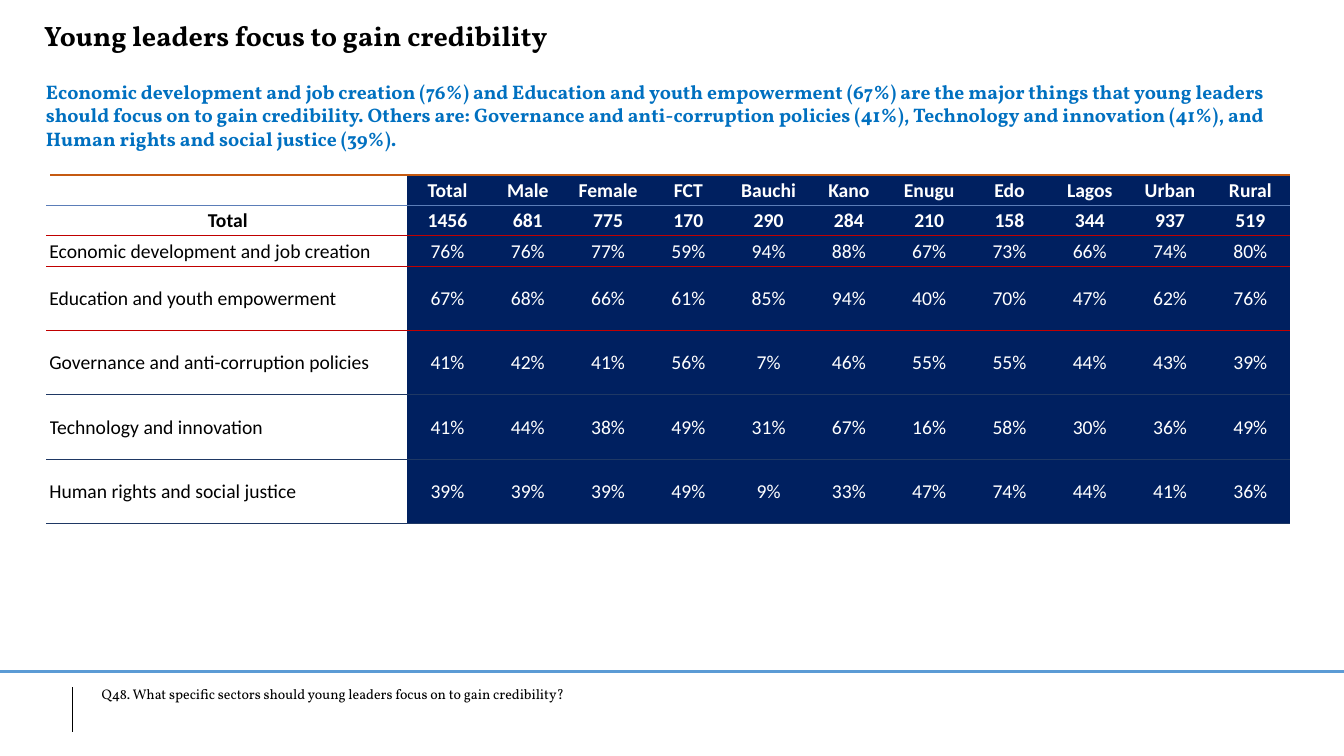
from collections import namedtuple
from dataclasses import dataclass

from lxml import etree
from pptx import Presentation
from pptx.dml.color import RGBColor
from pptx.enum.shapes import MSO_CONNECTOR
from pptx.enum.text import MSO_ANCHOR, MSO_AUTO_SIZE, PP_ALIGN
from pptx.oxml.ns import qn
from pptx.util import Pt

STRAIGHT = MSO_CONNECTOR.STRAIGHT
MIDDLE = MSO_ANCHOR.MIDDLE
GROW = MSO_AUTO_SIZE.SHAPE_TO_FIT_TEXT
LEFT, CENTER = PP_ALIGN.LEFT, PP_ALIGN.CENTER
NO_TABLE_STYLE = "{2D5ABB26-0587-4C30-8999-92F81FD0307C}"

Box = namedtuple("Box", "left top width height")


@dataclass(frozen=True)
class Theme:
    text: str = "000000"
    inverse: str = "FFFFFF"
    summary: str = "0070C0"
    navy: str = "002060"
    footer_rule: str = "5B9BD5"
    top_rule: str = "C55A11"
    header_rule: str = "5B7DB8"
    key_rule: str = "C00000"
    row_rule: str = "1F3864"
    heading_font: str = "Vollkorn"
    table_font: str = "Calibri"
    title_size: int = 20
    body_size: int = 14
    note_size: int = 10


THEME = Theme()

TITLE = "Young leaders focus to gain credibility"
SUMMARY = (
    "Economic development and job creation (76%) and Education and youth empowerment (67%) "
    "are the major things that young leaders should focus on to gain credibility. "
    "Others are: Governance and anti-corruption policies (41%), Technology and innovation (41%), "
    "and Human rights and social justice (39%)."
)
QUESTION = "Q48. What specific sectors should young leaders focus on to gain credibility?"

GROUPS = ["Total", "Male", "Female", "FCT", "Bauchi", "Kano", "Enugu", "Edo", "Lagos", "Urban", "Rural"]
RESPONDENTS = [1456, 681, 775, 170, 290, 284, 210, 158, 344, 937, 519]
SECTOR_SHARES = {
    "Economic development and job creation": [76, 76, 77, 59, 94, 88, 67, 73, 66, 74, 80],
    "Education and youth empowerment": [67, 68, 66, 61, 85, 94, 40, 70, 47, 62, 76],
    "Governance and anti-corruption policies": [41, 42, 41, 56, 7, 46, 55, 55, 44, 43, 39],
    "Technology and innovation": [41, 44, 38, 49, 31, 67, 16, 58, 30, 36, 49],
    "Human rights and social justice": [39, 39, 39, 49, 9, 33, 47, 74, 44, 41, 36],
}
HEADER_ROWS = 2
LABEL_WIDTH = 256.5
SHORT_ROW, TALL_ROW = 21.6, 46
ROW_HEIGHTS = [SHORT_ROW] * 3 + [TALL_ROW] * 4
# Colour and width of the rule above each row, then below the last
ROW_RULES = (
    [(THEME.top_rule, 1.5), (THEME.header_rule, 0.75)]
    + [(THEME.key_rule, 1)] * 3
    + [(THEME.row_rule, 0.75)] * 3
)


def write(paragraph, text, color, **font_format):
    run = paragraph.add_run()
    run.text = text
    for attribute, value in font_format.items():
        setattr(run.font, attribute, value)
    run.font.color.rgb = RGBColor.from_string(color)


def add_heading_text(slide, box, text, size, color, bold=False):
    frame = slide.shapes.add_textbox(*map(Pt, box)).text_frame
    frame.word_wrap = True
    frame.auto_size = GROW
    write(frame.paragraphs[0], text, color, name=THEME.heading_font, size=Pt(size), bold=bold)


def add_rule(slide, start, end, color, width):
    rule = slide.shapes.add_connector(STRAIGHT, *map(Pt, start + end))
    rule.line.color.rgb = RGBColor.from_string(color)
    rule.line.width = Pt(width)
    etree.SubElement(rule._element.spPr, qn("a:effectLst"))


def add_border(cell, side, color, width):
    properties = cell._tc.get_or_add_tcPr()
    border = etree.SubElement(properties, qn(f"a:ln{side}"), w=str(Pt(width)))
    fill = etree.SubElement(border, qn("a:solidFill"))
    etree.SubElement(fill, qn("a:srgbClr"), val=color)


def fill_cell(cell, text, row, column):
    is_label, is_header = column == 0, row < HEADER_ROWS
    cell_format = {
        "vertical_anchor": MIDDLE,
        "margin_left": Pt(0.72),
        "margin_right": Pt(0.72),
        "margin_top": Pt(0.72),
        "margin_bottom": 0,
    }
    for attribute, value in cell_format.items():
        setattr(cell, attribute, value)
    if is_label:
        add_border(cell, "L", THEME.inverse, 3)
    add_border(cell, "T", *ROW_RULES[row])
    add_border(cell, "B", *ROW_RULES[row + 1])
    if is_label:
        cell.fill.background()
    else:
        cell.fill.solid()
        cell.fill.fore_color.rgb = RGBColor.from_string(THEME.navy)

    paragraph = cell.text_frame.paragraphs[0]
    paragraph.alignment = LEFT if is_label and not is_header else CENTER
    if text:
        color = THEME.text if is_label else THEME.inverse
        write(paragraph, text, color, name=THEME.table_font, size=Pt(THEME.body_size), bold=is_header)
    else:
        paragraph._p.get_or_add_endParaRPr().set("sz", str(THEME.body_size * 100))


def add_sector_table(slide, box):
    rows = [["", *GROUPS], ["Total", *map(str, RESPONDENTS)]]
    rows += [[sector, *(f"{share}%" for share in shares)] for sector, shares in SECTOR_SHARES.items()]
    table = slide.shapes.add_table(len(rows), len(rows[0]), *map(Pt, box)).table
    table._tbl.tblPr.find(qn("a:tableStyleId")).text = NO_TABLE_STYLE
    table.first_row = table.horz_banding = False

    group_width = (box.width - LABEL_WIDTH) / len(GROUPS)
    for index, column in enumerate(table.columns):
        column.width = Pt(group_width if index else LABEL_WIDTH)
    for row, (texts, height) in enumerate(zip(rows, ROW_HEIGHTS)):
        table.rows[row].height = Pt(height)
        for column, text in enumerate(texts):
            fill_cell(table.cell(row, column), text, row, column)


def add_header(slide, box):
    title = Box(box.left, box.top, 679, 31.7)
    summary = Box(box.left + 1.2, box.top + 44, box.width - 1.2, 58.3)
    add_heading_text(slide, title, TITLE, THEME.title_size, THEME.text, bold=True)
    add_heading_text(slide, summary, SUMMARY, THEME.body_size, THEME.summary, bold=True)


def add_footer(slide, box):
    left, top = box.left, box.top
    add_rule(slide, (left, top), (left + box.width, top), THEME.footer_rule, 2.25)
    add_rule(slide, (left + 51.8, top + 11.5), (left + 51.8, top + 43.2), THEME.text, 0.5)
    question = Box(left + 65.5, top + 6.5, 838, 19.4)
    add_heading_text(slide, question, QUESTION, THEME.note_size, THEME.text)


def main():
    presentation = Presentation()
    presentation.slide_width, presentation.slide_height = Pt(960), Pt(540)
    slide = presentation.slides.add_slide(presentation.slide_layouts[6])
    add_footer(slide, Box(0, 479.5, 960, 60.5))
    add_header(slide, Box(24.5, 9.4, 923.5, 102.3))
    add_sector_table(slide, Box(34.5, 125.3, 887.5, sum(ROW_HEIGHTS)))
    presentation.save("out.pptx")


if __name__ == "__main__":
    main()
